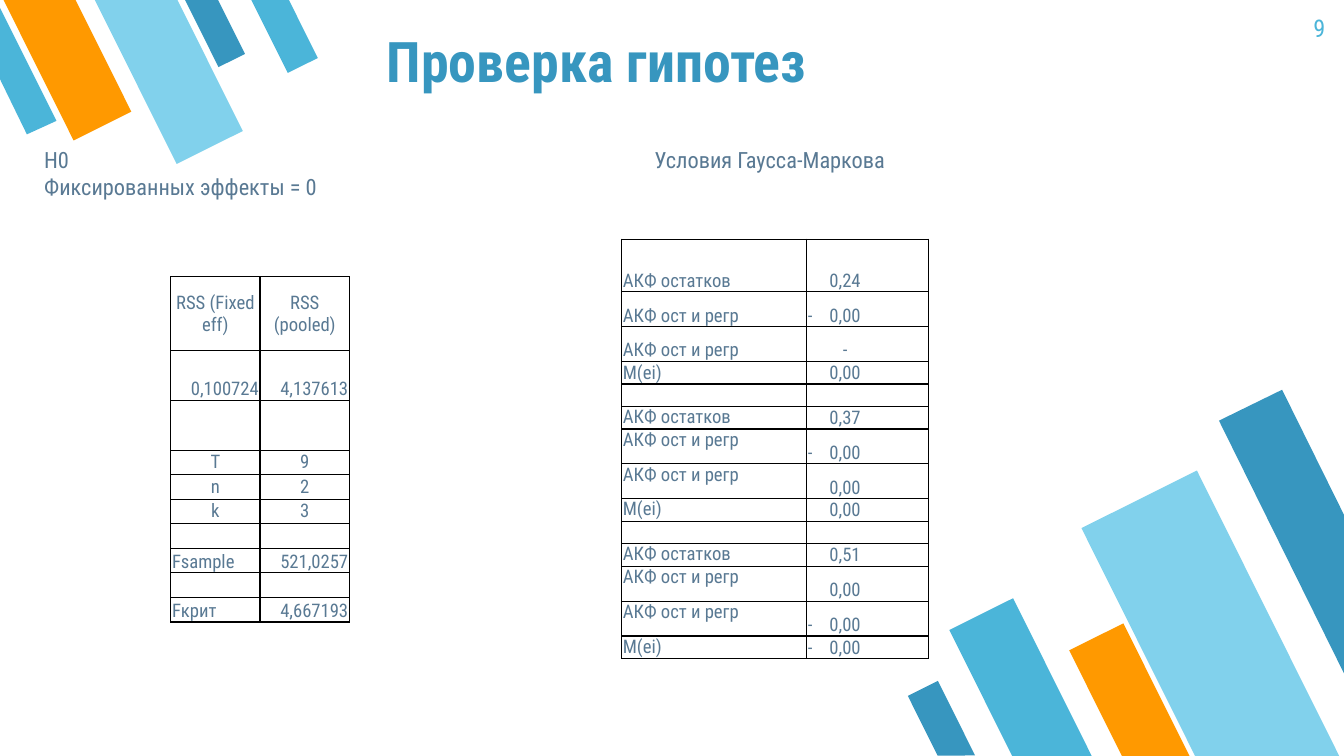
import dataclasses

import pptx
import pptx.dml.color
import pptx.enum.shapes
import pptx.enum.text
import pptx.oxml
import pptx.oxml.ns
import pptx.util
from lxml import etree

CELL = pptx.util.Inches(0.1)
WIDE, HIGH = 100, 56.25
ALIGN = {
    "l": pptx.enum.text.PP_ALIGN.LEFT,
    "c": pptx.enum.text.PP_ALIGN.CENTER,
    "r": pptx.enum.text.PP_ALIGN.RIGHT,
}
ANCHOR = {
    "t": pptx.enum.text.MSO_ANCHOR.TOP,
    "m": pptx.enum.text.MSO_ANCHOR.MIDDLE,
    "b": pptx.enum.text.MSO_ANCHOR.BOTTOM,
}


@dataclasses.dataclass(frozen=True)
class Theme:
    """Colours, face and type sizes of the slide."""
    deep: str = "3796BF"
    blue: str = "4BB5D9"
    pale: str = "81D1EC"
    warm: str = "FF9900"
    ink: str = "597993"
    line: str = "000000"
    face: str = "Roboto Condensed"
    title: int = 30
    page: int = 13
    body: int = 12
    table: int = 10
    rule: float = 0.75


@dataclasses.dataclass(frozen=True)
class Box:
    """A region measured in grid cells."""
    left: float
    top: float
    width: float
    height: float

    def inner(self, x, y, width, height):
        """Return a box placed relative to this one."""
        return Box(self.left + x, self.top + y, width, height)

    def spot(self):
        """Return the box as slide lengths."""
        return [span(n) for n in (self.left, self.top, self.width, self.height)]


LOOK = Theme()


def span(count):
    """Turn grid cells into a length."""
    return pptx.util.Emu(round(count * CELL))


def paint(fill, color):
    """Give a fill one solid colour."""
    fill.solid()
    fill.fore_color.rgb = pptx.dml.color.RGBColor.from_string(color)


def write(frame, text, size=LOOK.body, color=LOOK.ink, bold=False,
          align="l", indent=0, hang=0):
    """Write one formatted paragraph into a text frame."""
    para = frame.paragraphs[0]
    para.text = text
    para.alignment = ALIGN[align]
    props = para._p.get_or_add_pPr()
    props.set("marL", str(span(indent)))
    props.set("indent", str(-span(hang)))
    for run in para.runs:
        run.font.name = LOOK.face
        run.font.size = pptx.util.Pt(size)
        run.font.bold = bold
        run.font.color.rgb = pptx.dml.color.RGBColor.from_string(color)
    if not text:
        end = etree.SubElement(para._p, pptx.oxml.ns.qn("a:endParaRPr"))
        end.set("sz", str(size * 100))


def label(slide, box, text, anchor="t", **form):
    """Place a wrapped text box."""
    frame = slide.shapes.add_textbox(*box.spot()).text_frame
    frame.word_wrap = True
    frame.vertical_anchor = ANCHOR[anchor]
    frame.margin_left = frame.margin_right = span(1)
    frame.margin_top = frame.margin_bottom = span(1)
    write(frame, text, **form)


def finish(shape, color):
    """Leave a shape with a plain fill only."""
    paint(shape.fill, color)
    shape.line.fill.background()
    shape.shadow.inherit = False


def band(slide, box, turn, bars, edge, tint):
    """Draw a corner of tilted bars and one bar cut by the slide edge."""
    group = slide.shapes.add_group_shape()
    kind = pptx.enum.shapes.MSO_SHAPE.FLOWCHART_MANUAL_INPUT
    for color, *place in bars:
        bar = group.shapes.add_shape(kind, *box.inner(*place).spot())
        bar.rotation = turn
        bar._element.spPr.find(pptx.oxml.ns.qn("a:xfrm")).set("flipH", "1")
        finish(bar, color)
    points = [(span(box.left + x), span(box.top + y)) for x, y in edge]
    build = group.shapes.build_freeform(*points[0])
    build.add_line_segments(points[1:], close=True)
    finish(build.convert_to_shape(), tint)


def border(cell):
    """Rule all four sides of a table cell."""
    props = cell._tc.get_or_add_tcPr()
    for side in ("lnL", "lnR", "lnT", "lnB"):
        line = etree.SubElement(props, pptx.oxml.ns.qn("a:" + side))
        line.set("w", str(pptx.util.Pt(LOOK.rule)))
        fill = etree.SubElement(line, pptx.oxml.ns.qn("a:solidFill"))
        etree.SubElement(fill, pptx.oxml.ns.qn("a:srgbClr")).set("val", LOOK.line)


def grid(slide, box, cols, rows):
    """Build a ruled table from row heights and cell settings."""
    shape = slide.shapes.add_table(len(rows), len(cols), *box.spot())
    table = shape.table
    table.first_row = table.horz_banding = False
    for col, width in zip(table.columns, cols):
        col.width = span(width)
    for r, (height, cells) in enumerate(rows):
        table.rows[r].height = span(height)
        for c, (text, anchor, form) in enumerate(cells):
            cell = table.cell(r, c)
            border(cell)
            cell.fill.background()
            cell.margin_left = cell.margin_right = span(0.1)
            cell.margin_top = cell.margin_bottom = 0
            cell.vertical_anchor = ANCHOR[anchor]
            write(cell.text_frame, text, size=LOOK.table, **form)


def effects(slide, box):
    """Show the test of fixed effects."""
    data = [
        (5.5, "cc", "RSS (Fixed eff)", "RSS (pooled)"),
        (3.7, "rr", "0,100724", "4,137613"),
        (3.7, "lr", "", ""),
        (1.83, "cc", "T", "9"),
        (1.83, "cc", "n", "2"),
        (1.83, "cc", "k", "3"),
        (1.83, "lr", "", ""),
        (1.83, "lr", "Fsample", "521,0257"),
        (1.83, "lr", "", ""),
        (1.83, "lr", "Fкрит", "4,667193"),
    ]
    rows = [(high, [(text, "m" if sides == "cc" else "b", {"align": side})
                    for side, text in zip(sides, texts)])
            for high, sides, *texts in data]
    grid(slide, box, [box.width / 2] * 2, rows)


def value(text):
    """Set a number in line, with any minus sign hung at the left."""
    if text == "-":
        return text, "b", {"indent": 2.6}
    if text.startswith("-"):
        return "-\t" + text[1:], "b", {"indent": 1.6, "hang": 1.6}
    return text, "b", {"indent": 1.6}


def markov(slide, box):
    """Show the three blocks of residual checks."""
    names = ("АКФ остатков", "АКФ ост и регр", "АКФ ост и регр", "M(ei)")
    blocks = [
        ("b", 3.9, ("0,24", "-0,00", "-", "0,00")),
        ("t", 1.3, ("0,37", "-0,00", "0,00", "0,00")),
        ("t", 1.3, ("0,51", "0,00", "-0,00", "-0,00")),
    ]
    rows = []
    for anchor, first, values in blocks:
        if rows:
            rows.append((1.3, [("", "b", {})] * 2))
        for high, name, text in zip((first, 2.6, 2.6, 1.3), names, values):
            rows.append((high, [(name, anchor, {}), value(text)]))
    grid(slide, box, [13.77, box.width - 13.77], rows)


def main():
    """Build and save the slide."""
    deck = pptx.Presentation()
    deck.slide_width, deck.slide_height = span(WIDE), span(HIGH)
    slide = deck.slides.add_slide(deck.slide_layouts[6])
    band(slide, Box(68.8, 29, 31.2, 27.25), 153.5, [
        (LOOK.blue, 4.5, 16, 5.3, 13.2),
        (LOOK.pale, 16.5, 6.9, 9.6, 23.9),
        (LOOK.warm, 13, 17.8, 4.5, 11.1),
        (LOOK.deep, 0, 21.9, 2.5, 6.2),
    ], [(26.6, 0), (21.9, 2.3), (31.2, 21.1), (31.2, 9.3)], LOOK.deep)
    band(slide, Box(0, 0, 24, 12.5), 333.5, [
        (LOOK.deep, 14.9, -0.8, 2.2, 5.6),
        (LOOK.warm, 2.6, -1.8, 4.8, 11.8),
        (LOOK.pale, 9.8, -2, 5.5, 13.7),
        (LOOK.blue, 19.9, -1, 2.5, 6.2),
    ], [(2, 10), (4.2, 9), (0, 0.6), (0, 5.9)], LOOK.blue)
    label(slide, Box(27.8, 0.6, 63, 7.4), "Проверка гипотез", anchor="b",
          size=LOOK.title, color=LOOK.deep, bold=True)
    label(slide, Box(93.6, 0, 6, 4.3), "9", size=LOOK.page,
          color=LOOK.blue, align="r")
    heads = ("H0\vФиксированных эффекты = 0", "Условия Гаусса-Маркова")
    for col, text in enumerate(heads):
        label(slide, Box(1.2 + 45.4 * col, 9.9, 45.1, 4.6), text, indent=1.1)
    effects(slide, Box(12.7, 20.6, 13.3, 25.7))
    markov(slide, Box(46.25, 17.8, 22.85, 31.3))
    deck.save("out.pptx")


if __name__ == "__main__":
    main()
